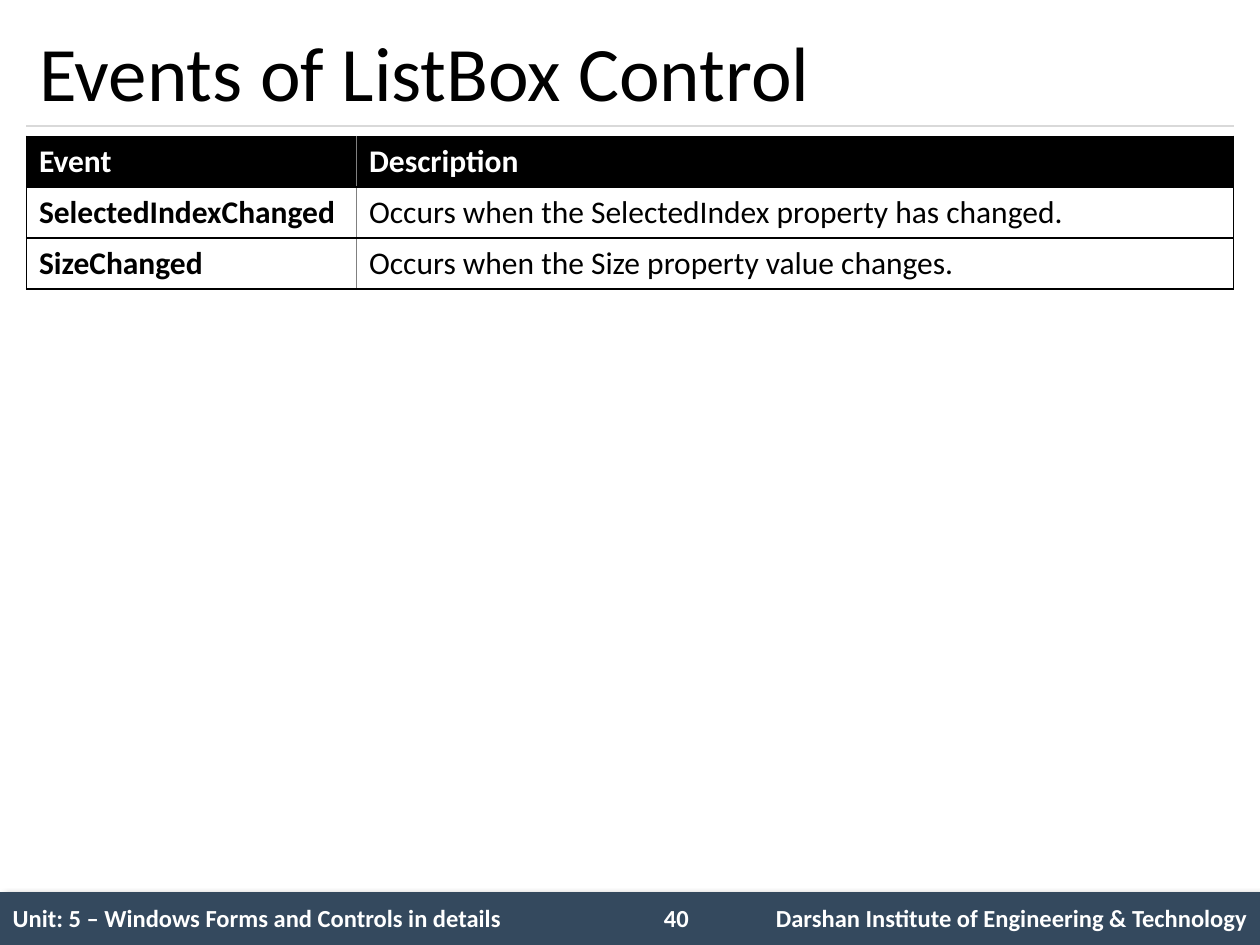
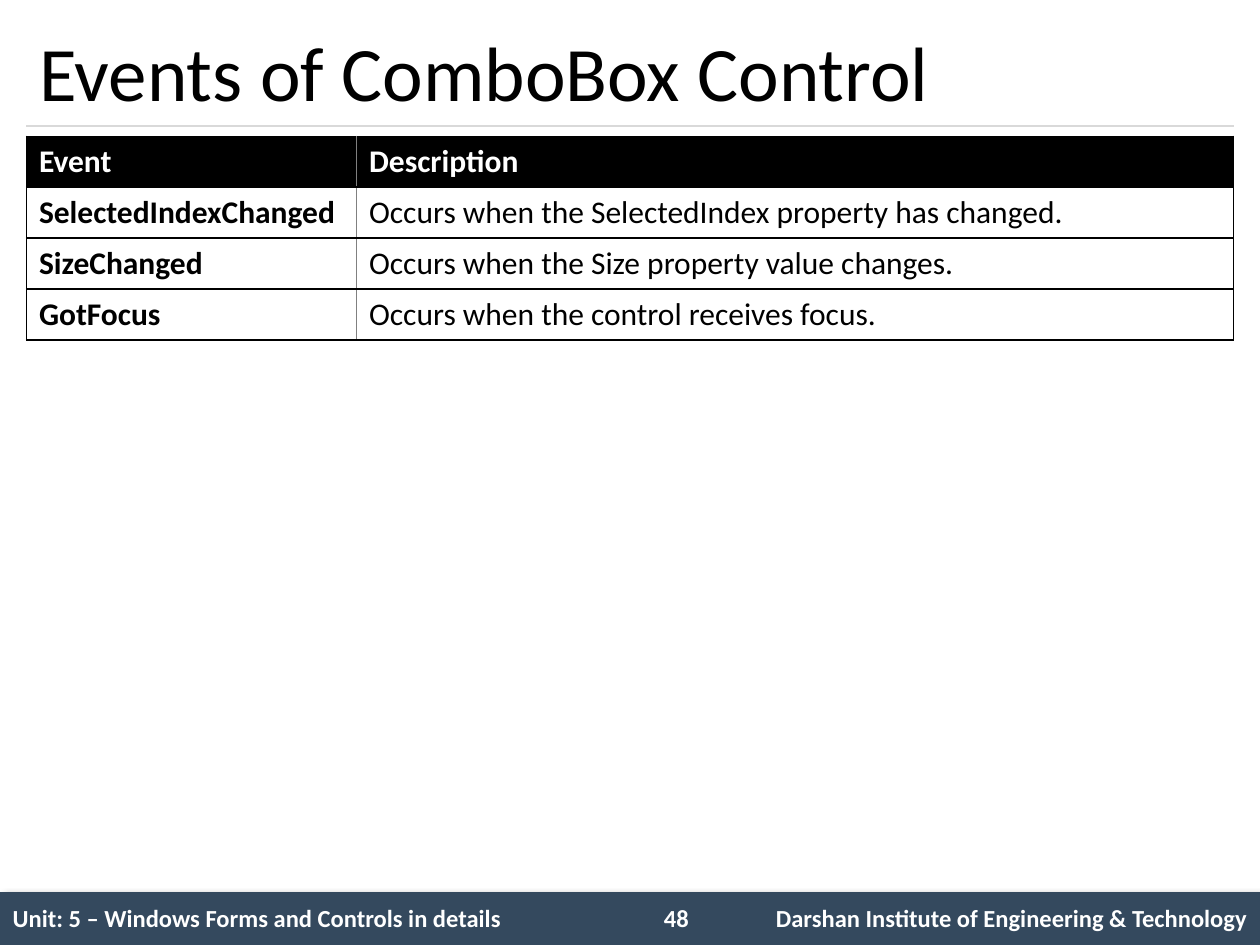
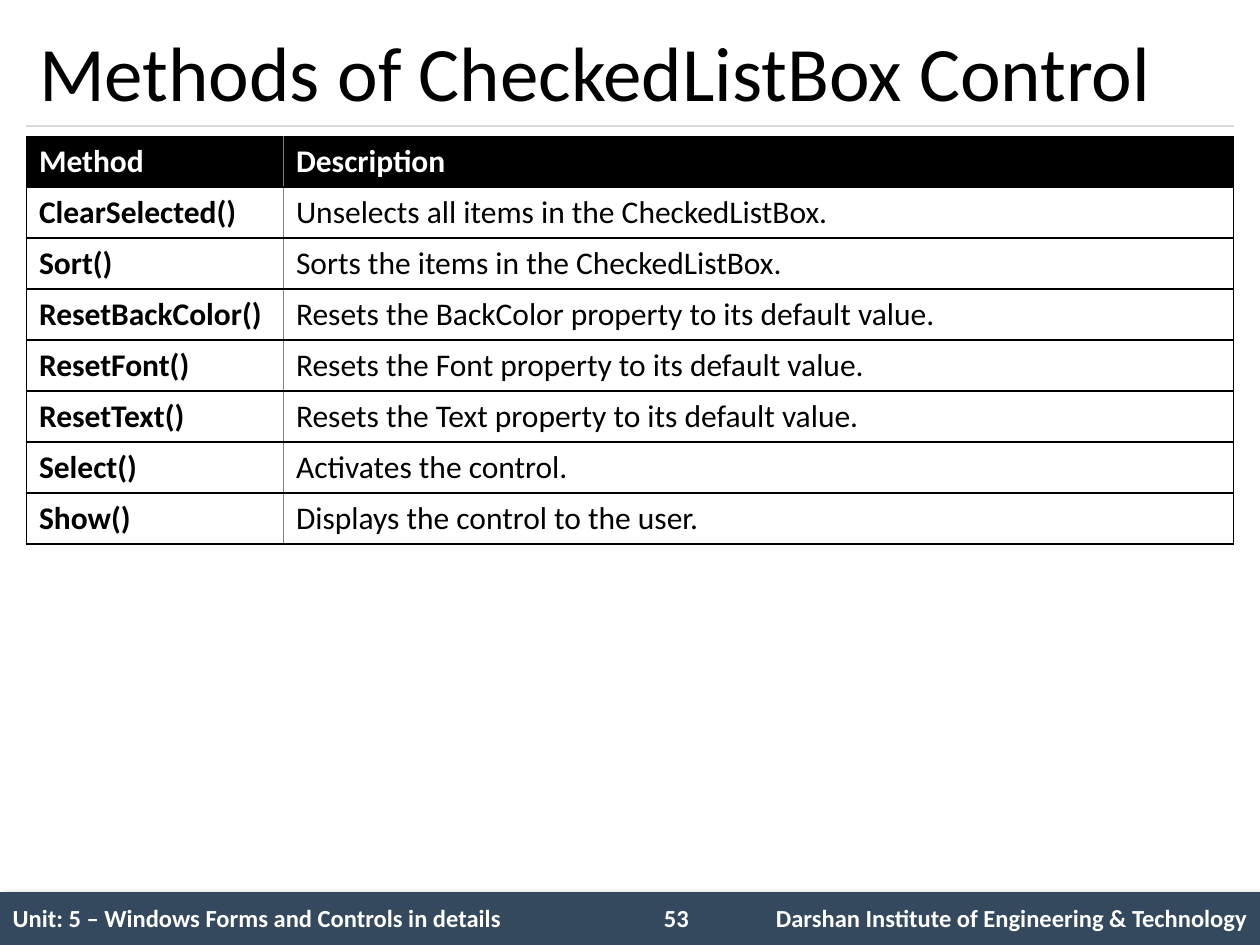
from dataclasses import dataclass

from lxml import etree
from pptx import Presentation
from pptx.dml.color import RGBColor
from pptx.enum.shapes import MSO_CONNECTOR, MSO_SHAPE
from pptx.enum.text import MSO_ANCHOR, MSO_AUTO_SIZE, PP_ALIGN
from pptx.oxml.ns import qn
from pptx.util import Inches, Pt

RECTANGLE = MSO_SHAPE.RECTANGLE
STRAIGHT = MSO_CONNECTOR.STRAIGHT
TOP, MIDDLE = MSO_ANCHOR.TOP, MSO_ANCHOR.MIDDLE
LEFT, RIGHT = PP_ALIGN.LEFT, PP_ALIGN.RIGHT
NO_AUTOFIT, GROW = MSO_AUTO_SIZE.NONE, MSO_AUTO_SIZE.SHAPE_TO_FIT_TEXT
TITLE_ONLY = 5


@dataclass(frozen=True)
class Theme:
    font: str = "Calibri"
    black: str = "000000"
    white: str = "FFFFFF"
    band: str = "34495E"
    rule: str = "D9D9D9"
    divider: str = "808080"
    title_size: int = 44
    table_size: int = 18
    footer_size: int = 14


SLIDE_WIDTH, SLIDE_HEIGHT = Inches(10), Inches(7.5)
MARGIN = Inches(0.21)
CONTENT_WIDTH = SLIDE_WIDTH - 2 * MARGIN
TITLE_TOP, TITLE_HEIGHT = Inches(0.12), Inches(0.88)
RULE_TOP = TITLE_TOP + TITLE_HEIGHT
TABLE_TOP = Inches(1.08)
TABLE_ROW_HEIGHT = Inches(0.81) // 2
FOOTER_TOP = Inches(7.08)
FOOTER_ROW_HEIGHT = Inches(0.43)
FOOTER_COLUMNS = [Inches(5.08), Inches(0.67), Inches(4.25)]

UNIT = "Unit: 5 – Windows Forms and Controls in details"
INSTITUTE = "Darshan Institute of Engineering & Technology"

SELECTION_EVENTS = [
    ("SelectedIndexChanged", "Occurs when the SelectedIndex property has changed."),
    ("SizeChanged", "Occurs when the Size property value changes."),
]
COMBO_BOX_EVENTS = SELECTION_EVENTS + [
    ("GotFocus", "Occurs when the control receives focus."),
]
CHECKED_LIST_BOX_METHODS = [
    ("ClearSelected()", "Unselects all items in the CheckedListBox."),
    ("Sort()", "Sorts the items in the CheckedListBox."),
    ("ResetBackColor()", "Resets the BackColor property to its default value."),
    ("ResetFont()", "Resets the Font property to its default value."),
    ("ResetText()", "Resets the Text property to its default value."),
    ("Select()", "Activates the control."),
    ("Show()", "Displays the control to the user."),
]

# title, page number, first column heading, first column width, rows
PAGES = [
    ("Events of ListBox Control", 40, "Event", Inches(2.62), SELECTION_EVENTS),
    ("Events of ComboBox Control", 48, "Event", Inches(2.62), COMBO_BOX_EVENTS),
    ("Methods of CheckedListBox Control", 53, "Method", Inches(2.04),
     CHECKED_LIST_BOX_METHODS),
]


def add_text(text_frame, text, *, font, size, color, bold=False, align=LEFT):
    paragraph = text_frame.paragraphs[0]
    paragraph.alignment = align
    run = paragraph.add_run()
    run.text = text
    run.font.name = font
    run.font.size = Pt(size)
    run.font.bold = bold
    run.font.color.rgb = RGBColor.from_string(color)


def add_color(parent, color):
    return etree.SubElement(parent, qn("a:srgbClr"), val=color)


def set_borders(cell, **borders):
    """Draw the sides given as L, R, T or B=(colour, points); hide the others."""
    properties = cell._tc.get_or_add_tcPr()
    for side in "LRTB":
        line = etree.SubElement(properties, qn(f"a:ln{side}"))
        if side in borders:
            color, points = borders[side]
            line.set("w", str(Pt(points)))
            add_color(etree.SubElement(line, qn("a:solidFill")), color)
        else:
            etree.SubElement(line, qn("a:noFill"))


def set_effects(shape, **shadow):
    """Give the shape its own effect list, empty unless a shadow is described."""
    properties = shape._element.spPr
    effects = etree.SubElement(properties, qn("a:effectLst"))
    if shadow:
        outer = etree.SubElement(
            effects, qn("a:outerShdw"), blurRad=str(Pt(shadow["blur"])),
            dist=str(Pt(shadow["distance"])), dir=str(shadow["angle"] * 60000),
            algn="tl", rotWithShape="0")
        color = add_color(outer, shadow["color"])
        etree.SubElement(color, qn("a:alpha"), val=str(shadow["opacity"] * 1000))


class Deck:
    def __init__(self, theme):
        self.theme = theme
        self.presentation = Presentation()
        self.presentation.slide_width = SLIDE_WIDTH
        self.presentation.slide_height = SLIDE_HEIGHT
        self.slide = None

    def add_slide(self, title, number):
        layout = self.presentation.slide_layouts[TITLE_ONLY]
        self.slide = self.presentation.slides.add_slide(layout)
        self.add_band()
        self.add_rule()
        self.add_footer(number)
        self.set_title(title)

    def add_themed_text(self, text_frame, text, **text_format):
        add_text(text_frame, text, font=self.theme.font, **text_format)

    def set_title(self, text):
        title = self.slide.shapes.title
        title.left, title.top = MARGIN, TITLE_TOP
        title.width, title.height = CONTENT_WIDTH, TITLE_HEIGHT
        title.text_frame.auto_size = NO_AUTOFIT
        title.text_frame.vertical_anchor = MIDDLE
        self.add_themed_text(title.text_frame, text, size=self.theme.title_size,
                             color=self.theme.black)

    def add_band(self):
        band = self.slide.shapes.add_shape(
            RECTANGLE, 0, FOOTER_TOP, SLIDE_WIDTH, SLIDE_HEIGHT - FOOTER_TOP)
        band.fill.solid()
        band.fill.fore_color.rgb = RGBColor.from_string(self.theme.band)
        band.line.fill.background()
        set_effects(band, color=self.theme.black, opacity=40, blur=4,
                    distance=3, angle=45)

    def add_rule(self):
        rule = self.slide.shapes.add_connector(
            STRAIGHT, MARGIN, RULE_TOP, MARGIN + CONTENT_WIDTH, RULE_TOP)
        rule.line.color.rgb = RGBColor.from_string(self.theme.rule)
        rule.line.width = Pt(0.75)
        set_effects(rule)

    def add_footer(self, number):
        style = {"size": self.theme.footer_size, "color": self.theme.white,
                 "bold": True}
        table = self.add_grid(0, FOOTER_TOP, FOOTER_COLUMNS, 1, FOOTER_ROW_HEIGHT)
        for cell in table.iter_cells():
            self.format_cell(cell, anchor=MIDDLE)
        self.add_themed_text(table.cell(0, 0).text_frame, UNIT, **style)
        self.add_themed_text(table.cell(0, 2).text_frame, INSTITUTE, align=RIGHT,
                             **style)

        box = self.slide.shapes.add_textbox(
            Inches(5.17), Inches(7.12), Inches(0.58), Inches(0.34))
        box.text_frame.word_wrap = True
        box.text_frame.auto_size = GROW
        self.add_themed_text(box.text_frame, str(number), **style)

    def add_grid(self, left, top, widths, row_count, row_height):
        """Add a table without banding and return it."""
        table = self.slide.shapes.add_table(
            row_count, len(widths), left, top, sum(widths),
            row_count * row_height).table
        table.first_row = table.horz_banding = False
        for column, width in zip(table.columns, widths):
            column.width = width
        for row in table.rows:
            row.height = row_height
        return table

    def format_cell(self, cell, fill=None, anchor=TOP, **borders):
        set_borders(cell, **borders)
        cell.vertical_anchor = anchor
        if fill:
            cell.fill.solid()
            cell.fill.fore_color.rgb = RGBColor.from_string(fill)
        else:
            cell.fill.background()

    def add_reference_table(self, heading, name_width, entries):
        theme = self.theme
        outline, divider = (theme.black, 0.75), (theme.divider, 1)
        rows = [(heading, "Description"), *entries]
        widths = [name_width, CONTENT_WIDTH - name_width]
        table = self.add_grid(MARGIN, TABLE_TOP, widths, len(rows), TABLE_ROW_HEIGHT)
        for row_index, row in enumerate(rows):
            is_header = row_index == 0
            for column_index, text in enumerate(row):
                is_name = column_index == 0
                cell = table.cell(row_index, column_index)
                self.format_cell(
                    cell, fill=theme.black if is_header else None,
                    L=outline if is_name else divider,
                    R=divider if is_name else outline, T=outline, B=outline)
                self.add_themed_text(
                    cell.text_frame, text, size=theme.table_size,
                    color=theme.white if is_header else theme.black,
                    bold=is_header or is_name)


def main():
    deck = Deck(Theme())
    for title, number, heading, name_width, entries in PAGES:
        deck.add_slide(title, number)
        deck.add_reference_table(heading, name_width, entries)
    deck.presentation.save("out.pptx")


if __name__ == "__main__":
    main()
